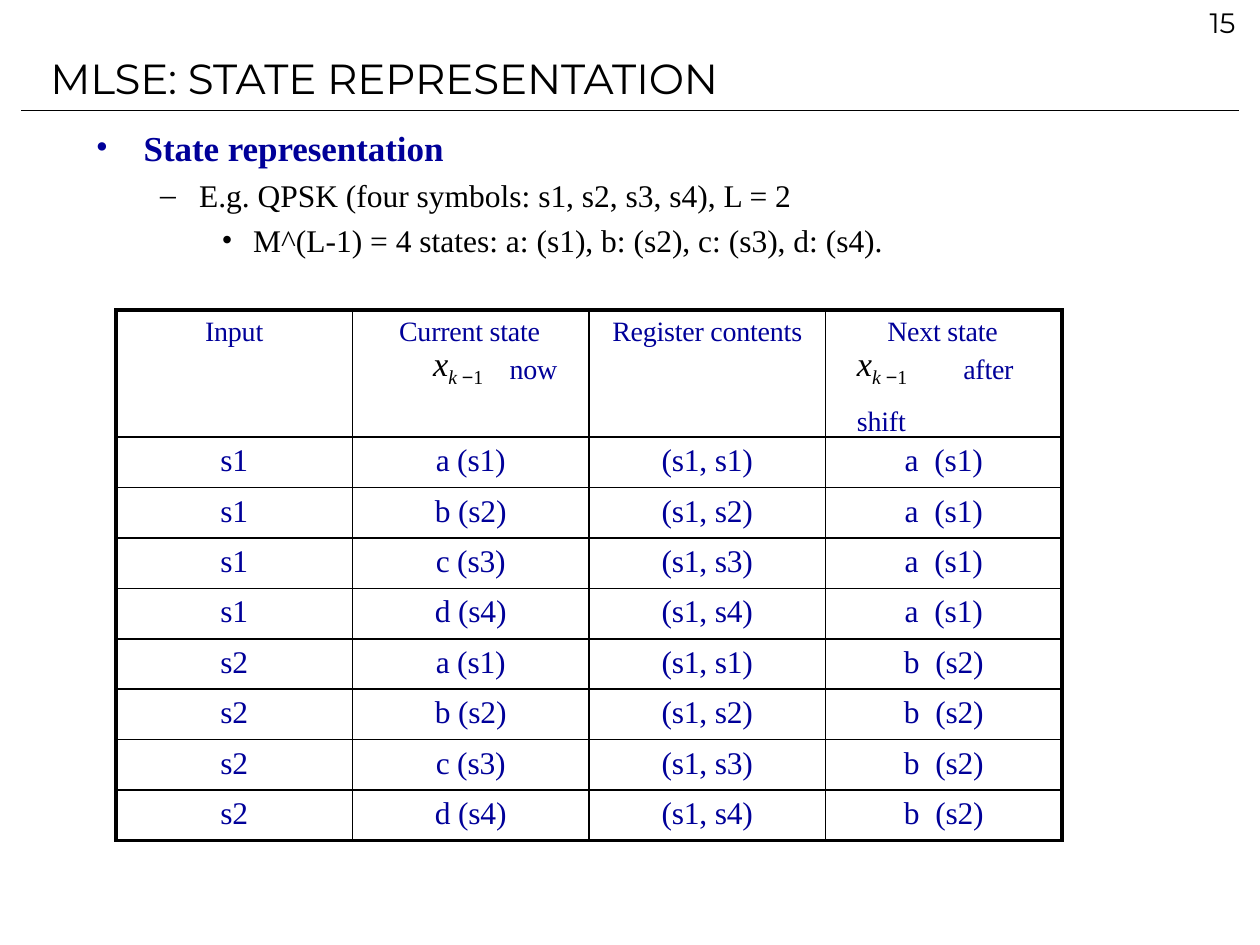
from dataclasses import dataclass

from pptx import Presentation
from pptx import util as u
from pptx.dml.color import RGBColor
from pptx.enum import shapes, text
from pptx.oxml.ns import qn
from lxml import etree


@dataclass(frozen=True)
class Theme:
    ink: str = "000000"
    accent: str = "000099"
    heading_font: str = "Montserrat"
    body_font: str = "Times New Roman"
    symbol_font: str = "Arial"
    title: float = 24
    lead: float = 20
    body: float = 18
    label: float = 16
    variable: float = 33.8
    subscript: float = 19.5
    thin: float = 1
    thick: float = 2.25


THEME = Theme()
HEADING = {"name": THEME.heading_font, "size": THEME.title,
           "color": THEME.ink, "spc": -5}
BODY = {"name": THEME.body_font, "size": THEME.body, "color": THEME.ink}
LEAD = BODY | {"size": THEME.lead, "color": THEME.accent, "bold": True,
               "spc": -5}
ENTRY = BODY | {"color": THEME.accent, "spc": -10}
LABEL = ENTRY | {"size": THEME.label}
VARIABLE = BODY | {"size": THEME.variable, "italic": True, "baseline": 5000}
INDEX = BODY | {"size": THEME.subscript, "italic": True, "baseline": -15000}
MINUS = INDEX | {"name": THEME.symbol_font, "italic": False, "spc": -40}
ONE = MINUS | {"name": THEME.body_font}
# The next-state column sets its state letter wider apart
WIDE = ENTRY | {"spc": 225}

SYMBOLS = ["s1", "s2", "s3", "s4"]
STATES = dict(zip(SYMBOLS, "abcd"))


def add_child(parent, tag, **attributes):
    return etree.SubElement(parent, qn(tag), attributes)


def add_span(para, words, style):
    span = para.add_run()
    span.text = words
    for key, value in style.items():
        if key == "color":
            span.font.color.rgb = RGBColor.from_string(value)
        elif key == "size":
            span.font.size = u.Pt(value)
        elif key in ("spc", "baseline"):
            span.font._element.set(key, str(value))
        else:
            setattr(span.font, key, value)


def format_para(para, left=0.0, hanging=0.0, bullet=None, **settings):
    props = para._p.get_or_add_pPr()
    props.set("marL", str(u.Inches(left)))
    props.set("indent", str(u.Inches(-hanging)))
    if bullet:
        add_child(props, "a:buFont", typeface=THEME.body_font)
        add_child(props, "a:buChar", char=bullet)
    for key, value in settings.items():
        setattr(para, key, value)


def fill_frame(frame, paragraphs):
    """Each paragraph is a pair: its settings and its (words, style) spans."""
    for number, (settings, spans) in enumerate(paragraphs):
        para = frame.add_paragraph() if number else frame.paragraphs[0]
        format_para(para, **settings)
        for words, style in spans:
            add_span(para, words, style)


def add_text(page, place, top_inset, paragraphs):
    box = page.shapes.add_textbox(*map(u.Inches, place))
    frame = box.text_frame
    settings = {"word_wrap": True, "margin_left": 0, "margin_right": 0,
                "margin_top": u.Inches(top_inset), "margin_bottom": 0}
    for key, value in settings.items():
        setattr(frame, key, value)
    fill_frame(frame, paragraphs)


def add_rule(page, left, right, top):
    rule = page.shapes.add_connector(
        shapes.MSO_CONNECTOR.STRAIGHT,
        *map(u.Inches, (left, top, right, top)))
    rule.line.color.rgb = RGBColor.from_string(THEME.ink)
    rule.line.width = u.Pt(0.72)
    add_child(rule._element.spPr, "a:effectLst")


def set_borders(cell, outer):
    """Draw the four edges, thick where the edge is on the table's outside."""
    props = cell._tc.get_or_add_tcPr()
    for side in "LRTB":
        width = THEME.thick if side in outer else THEME.thin
        line = add_child(props, f"a:ln{side}", w=str(u.Pt(width)))
        fill = add_child(line, "a:solidFill")
        add_child(fill, "a:srgbClr", val=THEME.ink)


def centred(*spans):
    return [({"alignment": text.PP_ALIGN.CENTER}, spans)]


def state_heading(words, title_left, left, gap, ending):
    """Title over a formula; gap is the extra space after it, in points."""
    formula = [("x", VARIABLE), ("k ", INDEX), ("−", MINUS), ("1", ONE),
               (" ", LABEL | {"spc": gap * 100}), (ending, LABEL)]
    return [({"left": title_left, "line_spacing": u.Pt(17.9)},
             [(words, LABEL)]),
            ({"left": left, "line_spacing": u.Pt(25.6)}, formula)]


def table_rows():
    yield [centred(("Input", LABEL)),
           state_heading("Current state", 0.37, 0.64, 11, "now"),
           centred(("Register contents", LABEL)),
           state_heading("Next state", 0.49, 0.25, 28, "after shift")]
    for entered in SYMBOLS[:2]:
        for held in SYMBOLS:
            yield [centred((entered, ENTRY)),
                   centred((f"{STATES[held]} ({held})", ENTRY)),
                   centred((f"(s1, {held})", ENTRY)),
                   centred((f"{STATES[entered]} ", WIDE),
                           (f"({entered})", ENTRY))]


def add_state_table(page):
    rows = list(table_rows())
    last_row, last_column = len(rows) - 1, len(rows[0]) - 1
    width = u.Inches(7.51)
    table = page.shapes.add_table(
        len(rows), len(rows[0]),
        u.Inches(0.92), u.Inches(2.46), width, u.Inches(4.2)).table
    table.first_row = table.horz_banding = False
    for column in table.columns:
        column.width = width // len(rows[0])
    for r, contents in enumerate(rows):
        table.rows[r].height = u.Inches(0.4 if r else 1)
        for c, paragraphs in enumerate(contents):
            cell = table.cell(r, c)
            edges = {"L": c == 0, "R": c == last_column,
                     "T": r == 0, "B": r == last_row}
            set_borders(cell, [side for side in edges if edges[side]])
            cell.fill.background()
            cell.margin_left = cell.margin_right = cell.margin_bottom = 0
            cell.margin_top = u.Inches(0.05)
            fill_frame(cell.text_frame, paragraphs)


def main():
    deck = Presentation()
    deck.slide_width, deck.slide_height = u.Inches(10), u.Inches(7.5)
    page = deck.slides.add_slide(deck.slide_layouts[6])

    # Heading, rule and page number
    add_rule(page, 0.17, 9.83, 0.88)
    add_text(page, (9.59, 0.02, 0.33, 0.29), 0.02,
             [({"left": 0.01}, [("15", HEADING | {"size": THEME.label})])])
    add_text(page, (0.39, 0.41, 9.22, 0.36), 0.01,
             [({"left": 0.01}, [("MLSE: STATE REPRESENTATION", HEADING)])])

    # Outline
    add_text(page, (0.75, 0.92, 6.28, 1.15), 0.08, [
        ({"left": 0.39, "hanging": 0.38, "bullet": "•"},
         [("State representation", LEAD)]),
        ({"left": 0.83, "hanging": 0.31, "bullet": "–", "level": 1,
          "space_before": u.Pt(4.4)},
         [("E.g. QPSK (four symbols: s1, s2, s3, s4), L = 2", BODY)]),
        ({"left": 1.26, "hanging": 0.25, "bullet": "•", "level": 2,
          "space_before": u.Pt(4.3)},
         [("M^(L-1) = 4 states: a: (s1), b: (s2), c: (s3), d: (s4).", BODY)]),
    ])

    # State transitions
    add_state_table(page)
    deck.save("out.pptx")


if __name__ == "__main__":
    main()
